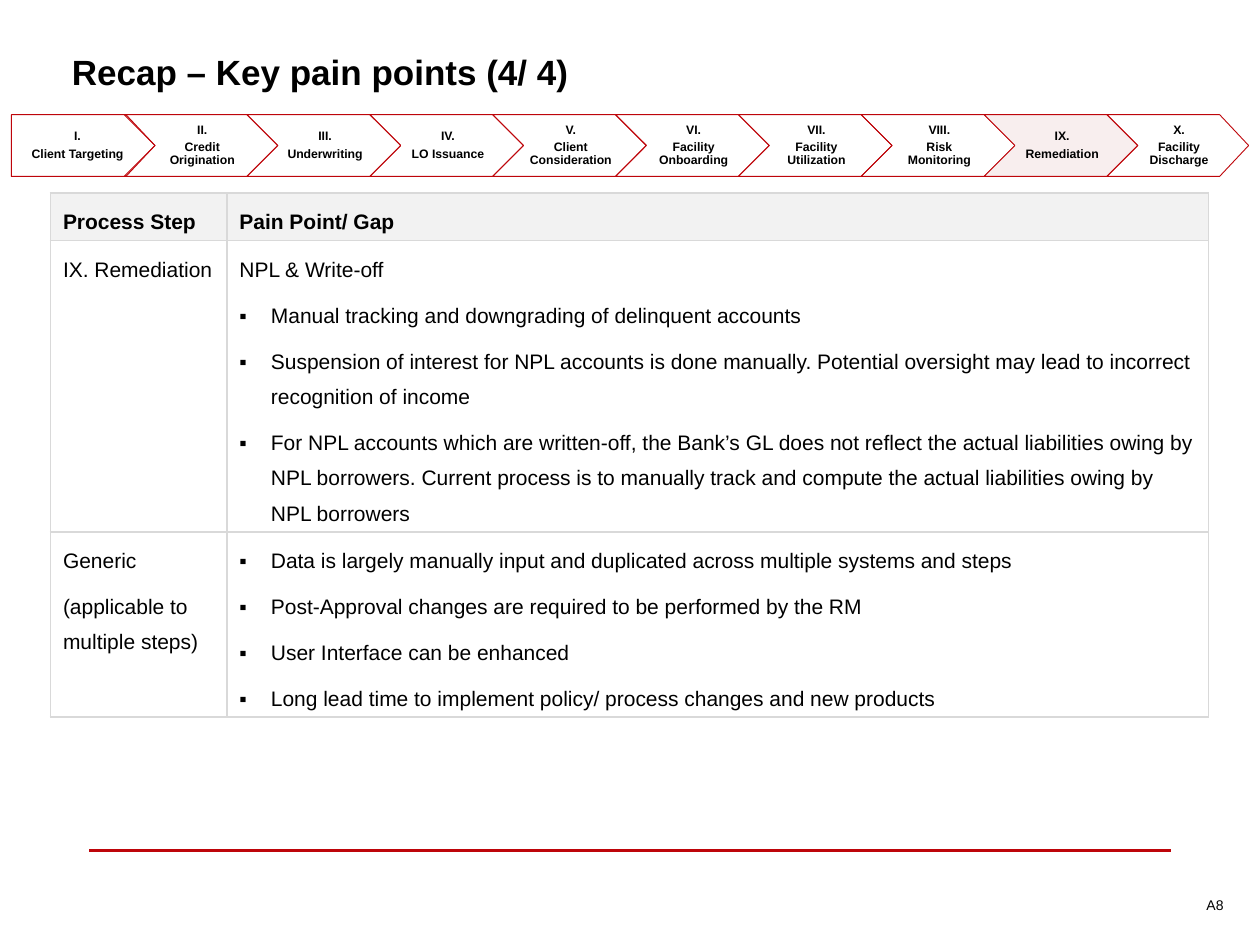
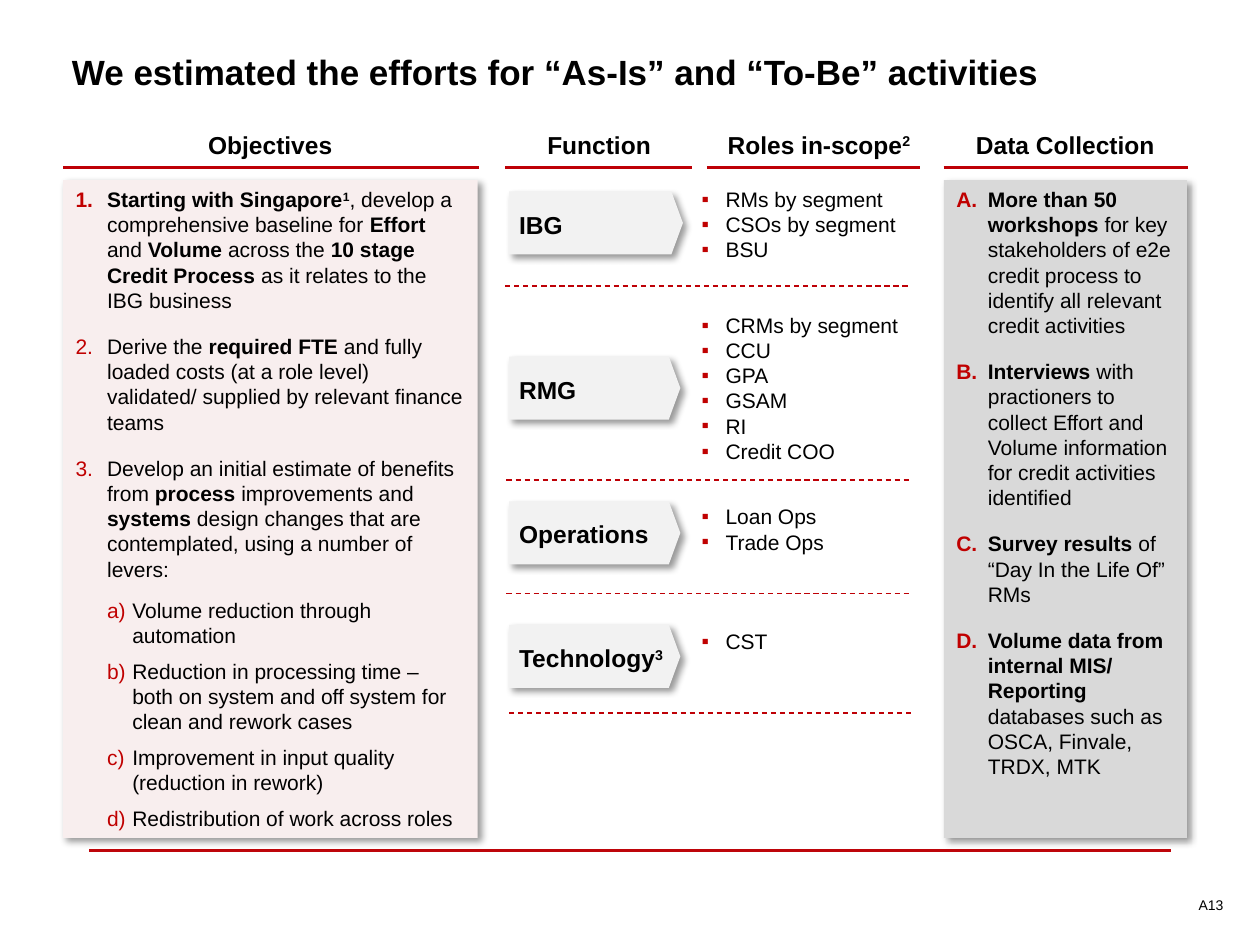
from lxml.etree import SubElement
from pptx import Presentation
from pptx.dml.color import RGBColor
from pptx.enum.dml import MSO_LINE
from pptx.enum.shapes import MSO_CONNECTOR, MSO_SHAPE
from pptx.enum.text import MSO_ANCHOR, MSO_AUTO_SIZE, PP_ALIGN
from pptx.oxml.ns import qn
from pptx.util import Inches, Pt

COLORS = {
    "text": "000000", "rule": "BE050A", "accent": "BE0006", "bullet": "C00000",
    "blush": "F8EEEE", "light": "F2F2F2", "grey": "D9D9D9", "white": "FFFFFF",
}
FONT = "Arial"
COLUMNS, ROWS = 100, 75  # grid units across and down the slide
TITLE_ONLY, TWO_CONTENT = 5, 3  # layouts of the template


def color(name):
    return RGBColor.from_string(COLORS[name])


class Painter:
    """Holds the deck style and draws on the current page in grid units."""

    def __init__(self):
        self.deck = Presentation()
        self.deck.slide_width, self.deck.slide_height = Inches(10), Inches(7.5)
        self.page = None

    def x(self, columns):
        return round(self.deck.slide_width * columns / COLUMNS)

    def y(self, rows):
        return round(self.deck.slide_height * rows / ROWS)

    def area(self, left, top, width, height):
        return self.x(left), self.y(top), self.x(width), self.y(height)

    def new_page(self, layout, title, number):
        self.page = self.deck.slides.add_slide(self.deck.slide_layouts[layout])
        self.place(self.page.shapes.title, 4.7, 2.4, 90.7, 6.5)
        self.set_text(self.page.shapes.title.text_frame, [title], size=20, bold=True,
                      anchor=MSO_ANCHOR.MIDDLE)
        self.line(7.1, 67.5, 92.9, 67.5, "rule")
        self.text(86.4, 69.7, 11.7, 4.2, [number], size=8, align=PP_ALIGN.RIGHT,
                  anchor=MSO_ANCHOR.MIDDLE)

    def place(self, shape, *area):
        shape.left, shape.top, shape.width, shape.height = self.area(*area)

    # Text
    def set_text(self, frame, lines, anchor=MSO_ANCHOR.TOP, insets=None, **style):
        frame.word_wrap = True
        frame.auto_size = MSO_AUTO_SIZE.NONE
        frame.vertical_anchor = anchor
        if insets:
            (frame.margin_left, frame.margin_top,
             frame.margin_right, frame.margin_bottom) = map(Inches, insets)
        self.fill_text(frame, lines, **style)

    def fill_text(self, frame, lines, **style):
        """A line is a text, or a text with a dict of its own style."""
        for index, line in enumerate(lines):
            text, own = line if isinstance(line, tuple) else (line, {})
            para = frame.add_paragraph() if index else frame.paragraphs[0]
            self.paragraph(para, text, **{**style, **own})

    def paragraph(self, para, text, size=12, bold=False, align=PP_ALIGN.LEFT, level=0,
                  spacing=1.0, before=0, after=0, bullet=None, numbering=None,
                  bullet_color="bullet", indent=0, hang=0):
        para.level, para.alignment, para.line_spacing = level, align, spacing
        para.space_before, para.space_after = Pt(before), Pt(after)
        props = para._p.get_or_add_pPr()
        props.set("marL", str(Inches(indent)))
        props.set("indent", str(-Inches(hang)))
        if bullet or numbering:
            paint = SubElement(props, qn("a:buClr"))
            SubElement(paint, qn("a:srgbClr"), val=COLORS[bullet_color])
            SubElement(props, qn("a:buFont"), typeface=FONT)
        if bullet:
            SubElement(props, qn("a:buChar"), char=bullet)
        elif numbering:
            SubElement(props, qn("a:buAutoNum"), type=numbering)
        else:
            SubElement(props, qn("a:buNone"))
        para.font.name, para.font.size = FONT, Pt(size)
        para.font.color.rgb = color("text")
        para.font.bold = bold
        # *bold* and ^superscript^ marks switch the spans
        for part, chunk in enumerate(text.split("*")):
            for step, piece in enumerate(chunk.split("^")):
                if not piece:
                    continue
                span = para.add_run()
                span.text = piece
                if "*" in text:
                    span.font.bold = part % 2 == 1
                if step % 2:
                    span._r.get_or_add_rPr().set("baseline", "30000")

    def text(self, left, top, width, height, lines, **style):
        box = self.page.shapes.add_textbox(*self.area(left, top, width, height))
        self.set_text(box.text_frame, lines, **style)

    # Shapes and lines
    def line(self, x1, y1, x2, y2, paint, width=1.5, dashed=False):
        rule = self.page.shapes.add_connector(
            MSO_CONNECTOR.STRAIGHT, self.x(x1), self.y(y1), self.x(x2), self.y(y2))
        rule.line.color.rgb, rule.line.width = color(paint), Pt(width)
        if dashed:
            rule.line.dash_style = MSO_LINE.DASH
        SubElement(rule._element.spPr, qn("a:effectLst"))

    def raise_up(self, shape, paint):
        """Plain fill, no outline and a soft drop shadow."""
        shape.fill.solid()
        shape.fill.fore_color.rgb = color(paint)
        shape.line.fill.background()
        shape.shadow.inherit = False
        effects = shape._element.spPr.find(qn("a:effectLst"))
        shadow = SubElement(effects, qn("a:outerShdw"), blurRad=str(Pt(4)),
                            dist=str(Pt(3)), dir="2700000", algn="tl", rotWithShape="0")
        black = SubElement(shadow, qn("a:srgbClr"), val=COLORS["text"])
        SubElement(black, qn("a:alpha"), val="40000")

    def panel(self, holder, left, top, width, height, paint, lines, **style):
        self.place(holder, left, top, width, height)
        self.raise_up(holder, paint)
        self.set_text(holder.text_frame, lines, **style)

    def pentagon(self, left, top, width, height, label):
        tag = self.page.shapes.add_shape(
            MSO_SHAPE.PENTAGON, *self.area(left, top, width, height))
        tag.adjustments[0] = 0.183
        self.raise_up(tag, "light")
        self.set_text(tag.text_frame, [label], size=14, bold=True,
                      anchor=MSO_ANCHOR.MIDDLE, insets=(0.08, 0.02, 0, 0))

    def chevron(self, left, top, shoulder, height, tip, notch, lines, insets, paint=None):
        middle, bottom = top + height / 2, top + height
        corners = [(shoulder, top), (shoulder + tip, middle), (shoulder, bottom),
                   (left, bottom)]
        if notch:
            corners.append((left + notch, middle))
        builder = self.page.shapes.build_freeform(self.x(left), self.y(top))
        builder.add_line_segments([(self.x(a), self.y(b)) for a, b in corners])
        step = builder.convert_to_shape()
        if paint:
            step.fill.solid()
            step.fill.fore_color.rgb = color(paint)
        else:
            step.fill.background()
        step.line.color.rgb, step.line.width = color("rule"), Pt(0.5)
        step.shadow.inherit = False
        self.set_text(step.text_frame, lines, size=7, bold=True, align=PP_ALIGN.CENTER,
                      spacing=0.9, after=2.45, anchor=MSO_ANCHOR.MIDDLE, insets=insets)

    def table(self, left, top, widths, heights, rows):
        grid = self.page.shapes.add_table(
            len(rows), len(widths),
            *self.area(left, top, sum(widths), sum(heights))).table
        grid.first_row = grid.horz_banding = False
        for column, width in zip(grid.columns, widths):
            column.width = self.x(width)
        for index, (row, height, texts) in enumerate(zip(grid.rows, heights, rows)):
            row.height = self.y(height)
            for cell, lines in zip(row.cells, texts):
                self.borders(cell)
                cell.fill.solid()
                cell.fill.fore_color.rgb = color("white" if index else "light")
                cell.vertical_anchor = MSO_ANCHOR.TOP if index else MSO_ANCHOR.MIDDLE
                self.fill_text(cell.text_frame, lines, bold=not index, spacing=1.5,
                               after=6, bullet_color="text")

    def borders(self, cell):
        props = cell._tc.get_or_add_tcPr()
        for side in ("lnL", "lnR", "lnT", "lnB"):
            edge = SubElement(props, qn("a:" + side), w=str(Pt(1)))
            SubElement(SubElement(edge, qn("a:solidFill")), qn("a:srgbClr"),
                       val=COLORS["grey"])


def bullets(*texts):
    return [(text, dict(bullet="▪", indent=0.25, hang=0.25)) for text in texts]


def pain_points(painter):
    painter.new_page(TITLE_ONLY, "Recap – Key pain points (4/ 4)", "A8")

    # Process chain
    steps = [
        ("I.", "Client Targeting"), ("II.", "Credit Origination"),
        ("III.", "Underwriting"), ("IV.", "LO Issuance"),
        ("V.", "Client Consideration"), ("VI.", "Facility Onboarding"),
        ("VII.", "Facility Utilization"), ("VIII.", "Risk Monitoring"),
        ("IX.", "Remediation"), ("X.", "Facility Discharge"),
    ]
    pitch, tip, current = 9.75, 2.45, "IX."
    for index, step in enumerate(steps):
        first, last = index == 0, index == len(steps) - 1
        left = 0.9 if first else 0.1 + index * pitch
        shoulder = 10 if first else 96.8 if last else left + pitch
        painter.chevron(
            left, 9.1, shoulder, 4.9, 2.3 if first or last else tip,
            0 if first else tip, step,
            (0.04, 0.02, 0.13, 0.02) if first else (0.27, 0.02, 0.25, 0.02),
            "blush" if step[0] == current else None)

    # Pain point table
    painter.table(4, 15.3, [14, 77.9], [3.8, 23.1, 14.7], [
        (["Process Step"], ["Pain Point/ Gap"]),
        (["IX. Remediation"], ["NPL & Write-off"] + bullets(
            "Manual tracking and downgrading of delinquent accounts",
            "Suspension of interest for NPL accounts is done manually. Potential "
            "oversight may lead to incorrect recognition of income",
            "For NPL accounts which are written-off, the Bank’s GL does not reflect the "
            "actual liabilities owing by NPL borrowers. Current process is to manually "
            "track and compute the actual liabilities owing by NPL borrowers")),
        (["Generic", "(applicable to multiple steps)"], bullets(
            "Data is largely manually input and duplicated across multiple systems and steps",
            "Post-Approval changes are required to be performed by the RM",
            "User Interface can be enhanced",
            "Long lead time to implement policy/ process changes and new products")),
    ])


def efforts(painter):
    painter.new_page(
        TWO_CONTENT, "We estimated the efforts for “As-Is” and “To-Be” activities", "A13")
    objectives, collection = list(painter.page.placeholders)[1:3]

    # Column headings: text, box left and width, rule start and end
    for heading, left, width, start, end in [
        ("Objectives", 5, 32.9, 5, 38),
        ("Function", 40.4, 14.3, 40.1, 54.9),
        ("Roles in-scope^2^", 56.1, 17.8, 56.1, 73),
        ("Data Collection", 74.9, 19.3, 74.9, 94.3),
    ]:
        painter.text(left, 9.8, width, 3.4, [heading], size=14, bold=True,
                     align=PP_ALIGN.CENTER)
        painter.line(start, 13.3, end, 13.3, "accent")

    # Side panels
    sub = dict(level=1, numbering="alphaLcParenR", indent=0.45, hang=0.2,
               before=3, after=3)
    listing = dict(indent=0.25, hang=0.25, before=6, after=6)
    painter.panel(objectives, 5, 14.3, 32.9, 52.2, "blush", [
        "*Starting with Singapore^1^*, develop a comprehensive baseline for *Effort* and "
        "*Volume* across the *10 stage Credit Process *as it relates to the IBG business",
        "Derive the *required FTE* and fully loaded costs (at a role level) validated/ "
        "supplied by relevant finance teams",
        "Develop an initial estimate of benefits from *process *improvements and "
        "*systems *design changes that are contemplated, using a number of levers:",
        ("Volume reduction through automation", sub),
        ("Reduction in processing time – both on system and off system for clean and "
         "rework cases", sub),
        ("Improvement in input quality (reduction in rework)", sub),
        ("Redistribution of work across roles", sub),
    ], numbering="arabicPeriod", **listing)
    painter.panel(collection, 74.9, 14.3, 19.3, 52.2, "grey", [
        "*More than 50 workshops *for key stakeholders of e2e credit process to identify "
        "all relevant credit activities",
        "*Interviews* with practioners to collect Effort and Volume information for "
        "credit activities identified",
        "*Survey results *of “Day In the Life Of” RMs",
        "*Volume data from internal MIS/ Reporting *databases such as OSCA, Finvale, "
        "TRDX, MTK",
    ], numbering="alphaUcPeriod", **listing)

    # Functions: label, tag top and width, roles top, height and texts, divider
    for label, top, width, roles_top, height, roles, start, divider in [
        ("IBG", 15.2, 13.8, 14.3, 7,
         ["RMs by segment", "CSOs by segment", "BSU"], 40.1, 22.7),
        ("RMG", 28.3, 13.6, 24.3, 12.6,
         ["CRMs by segment", "CCU", "GPA", "GSAM", "RI", "Credit COO"], 40.2, 38.1),
        ("Operations", 39.8, 13.6, 39.5, 5.4, ["Loan Ops", "Trade Ops"], 40.2, 47.1),
        ("Technology^3^", 49.6, 13.6, 49.4, 5.4, ["CST"], 40.4, 56.6),
    ]:
        painter.pentagon(40.4, top, width, 5, label)
        painter.text(54.7, roles_top, 18.3, height, roles, bullet="▪",
                     indent=0.19, hang=0.19)
        painter.line(start, divider, start + 32, divider, "accent", 0.75, dashed=True)


def main():
    painter = Painter()
    pain_points(painter)
    efforts(painter)
    painter.deck.save("out.pptx")


if __name__ == "__main__":
    main()
